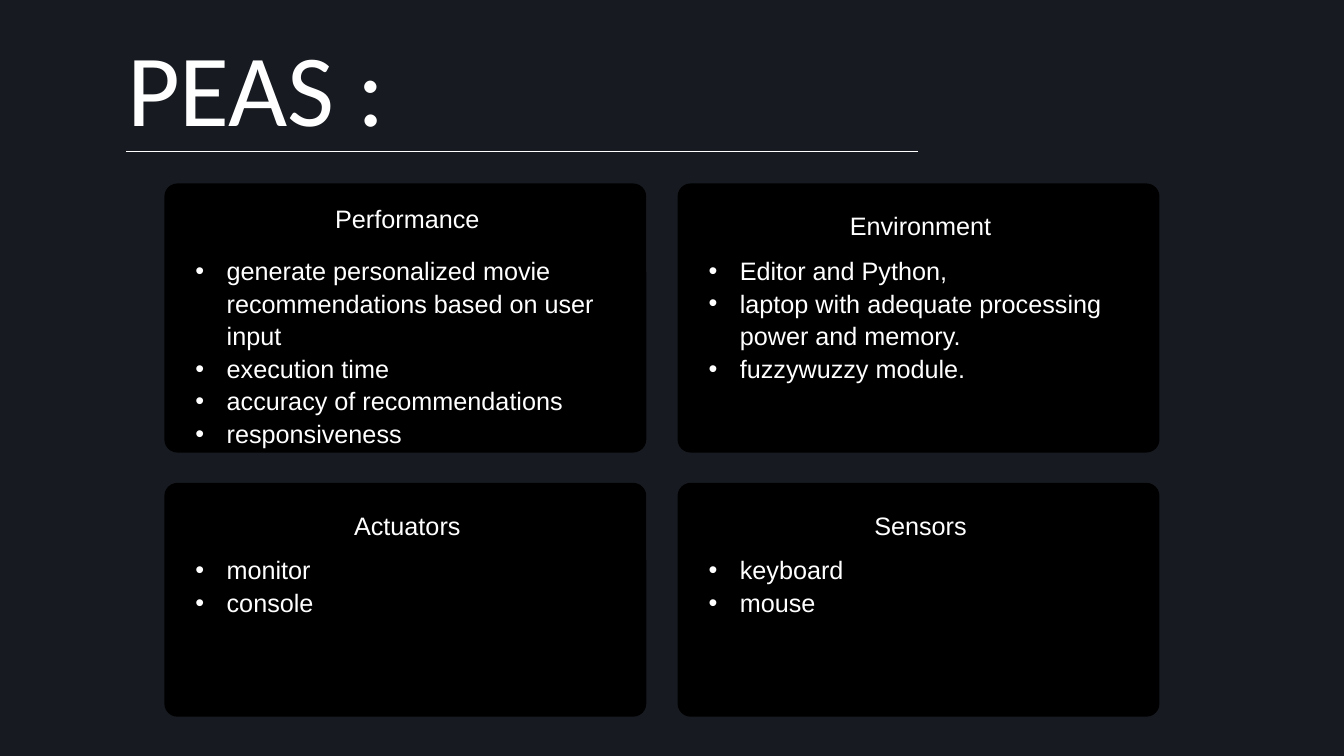
from lxml.etree import SubElement
from pptx import Presentation
from pptx.dml.color import RGBColor
from pptx.enum.shapes import MSO_CONNECTOR, MSO_SHAPE
from pptx.enum.text import MSO_ANCHOR, PP_ALIGN
from pptx.oxml.ns import qn
from pptx.util import Inches, Pt

# Content
TITLE = "PEAS :"
CARDS = [
    ("Performance", [
        "generate personalized movie recommendations based on user input",
        "execution time",
        "accuracy of recommendations",
        "responsiveness",
    ]),
    ("Environment", [
        "Editor and Python,",
        "laptop with adequate processing power and memory.",
        "fuzzywuzzy module.",
    ]),
    ("Actuators", ["monitor", "console"]),
    ("Sensors", ["keyboard", "mouse"]),
]

# Layout in inches
COLUMN_LEFTS = (1.63, 6.72)
ROWS = ((1.82, 2.67), (4.79, 2.32))  # top, height
CARD_WIDTH = 4.78
CORNER_RADIUS = 0.13
TEXT_INSET = 0.21
TEXT_WIDTH = 4.4
HEADING_TOPS = (1.95, 2.02, 5, 5)
BULLET_OFFSET = 0.64
INDENT = 0.31

BACKGROUND, CARD, TEXT = "171B21", "000000", "FFFFFF"


def set_fill(fill, color):
    fill.solid()
    fill.fore_color.rgb = RGBColor.from_string(color)


def format_paragraph(paragraph, size, font_name, spacing):
    paragraph.line_spacing = spacing
    for run in paragraph.runs:
        run.font.size = Pt(size)
        run.font.name = font_name
        set_fill(run.font.fill, TEXT)


def add_bullet(paragraph):
    properties = paragraph._p.get_or_add_pPr()
    properties.set("marL", str(Inches(INDENT)))
    properties.set("indent", str(-Inches(INDENT)))
    SubElement(properties, qn("a:buFont"), typeface="Arial")
    SubElement(properties, qn("a:buChar"), char="•")


def add_text(slide, left, top, height, lines, spacing, bulleted=False):
    box = slide.shapes.add_textbox(
        Inches(left), Inches(top), Inches(TEXT_WIDTH), Inches(height))
    text_frame = box.text_frame
    text_frame.word_wrap = True
    text_frame.text = "\n".join(lines)
    for paragraph in text_frame.paragraphs:
        format_paragraph(paragraph, 18, "Arial", Pt(spacing))
        if bulleted:
            add_bullet(paragraph)
        else:
            paragraph.alignment = PP_ALIGN.CENTER


def add_card(slide, index, heading, bullets):
    row, column = divmod(index, len(COLUMN_LEFTS))
    left = COLUMN_LEFTS[column]
    top, height = ROWS[row]
    card = slide.shapes.add_shape(
        MSO_SHAPE.ROUNDED_RECTANGLE,
        Inches(left), Inches(top), Inches(CARD_WIDTH), Inches(height))
    card.adjustments[0] = CORNER_RADIUS / height
    card.shadow.inherit = False
    set_fill(card.fill, CARD)
    card.line.fill.background()

    text_left = left + TEXT_INSET
    add_text(slide, text_left, HEADING_TOPS[index], 0.41, [heading], 22.8)
    add_text(slide, text_left, top + BULLET_OFFSET, 1.65, bullets, 23.3,
             bulleted=True)


def main():
    presentation = Presentation()
    presentation.slide_width = Inches(13.33)
    presentation.slide_height = Inches(7.5)
    slide = presentation.slides.add_slide(presentation.slide_layouts[5])
    set_fill(slide.background.fill, BACKGROUND)

    # Title
    title = slide.shapes.title
    title.left, title.top = Inches(1.16), Inches(0.33)
    title.width, title.height = Inches(10.8), Inches(1.48)
    title.text_frame.text = TITLE
    title.text_frame.word_wrap = True
    title.text_frame.vertical_anchor = MSO_ANCHOR.TOP
    paragraph = title.text_frame.paragraphs[0]
    paragraph.alignment = PP_ALIGN.LEFT
    format_paragraph(paragraph, 73, "Calibri", 0.9)

    # Rule under the title
    rule = slide.shapes.add_connector(
        MSO_CONNECTOR.STRAIGHT,
        Inches(1.25), Inches(1.5), Inches(9.1), Inches(1.5))
    set_fill(rule.line.fill, TEXT)
    rule.line.width = Pt(0.79)
    SubElement(rule._element.spPr, qn("a:effectLst"))

    # Four cards
    for index, (heading, bullets) in enumerate(CARDS):
        add_card(slide, index, heading, bullets)

    presentation.save("out.pptx")


if __name__ == "__main__":
    main()
